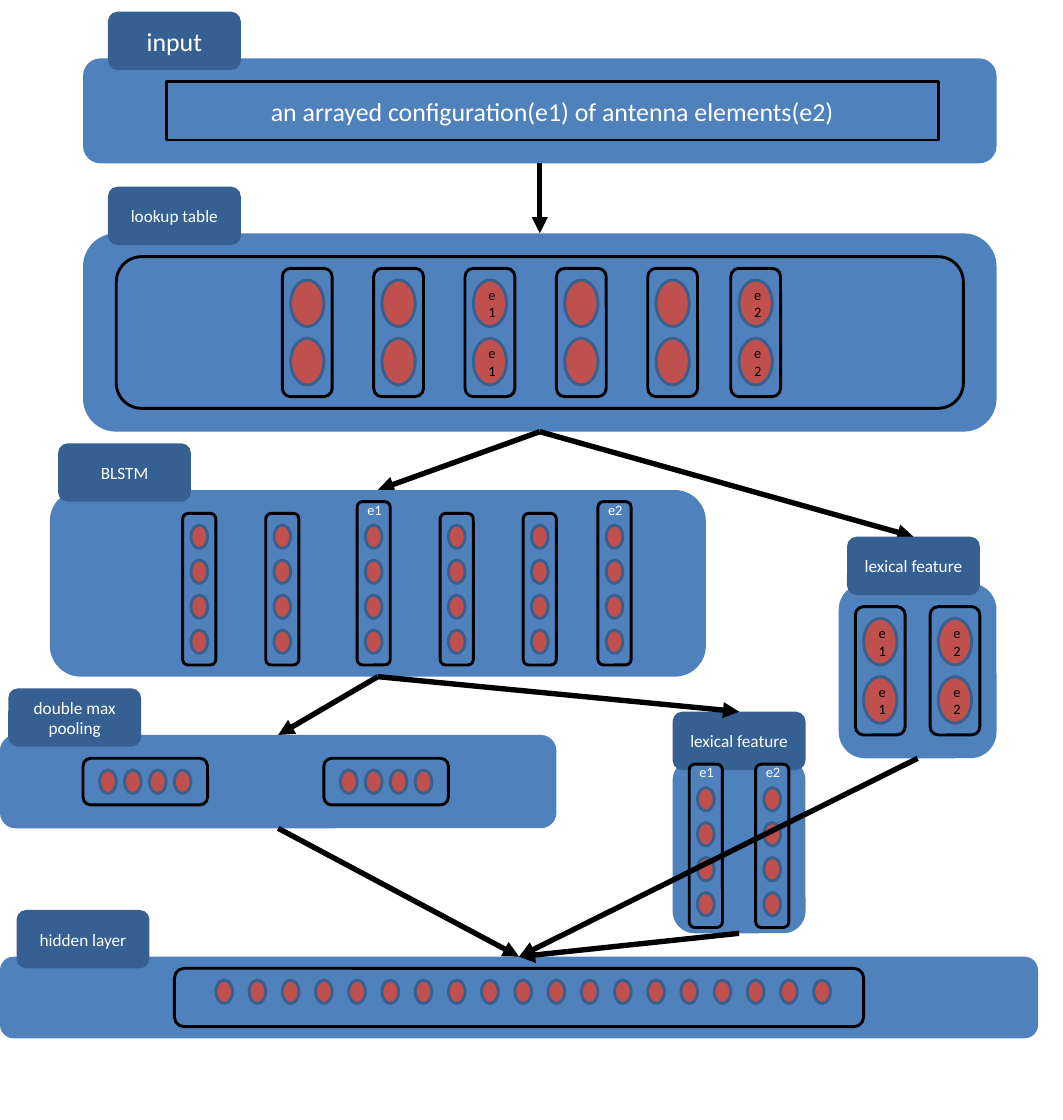
from pptx import Presentation
from pptx import util as u
from pptx.dml.color import RGBColor
from pptx.enum import shapes, text
from pptx.oxml.ns import qn
from lxml import etree

WIDE, HIGH = 10.28, 10.83
COLS, ROWS = 128, 96
BLUE, NAVY, RED, EDGE = "4F81BD", "376092", "C0504D", "3A5F8C"
BLACK, WHITE = "000000", "FFFFFF"
TAB = (16, 5)

# kind: frame size, first dot offset, dot size, dots across and down, dot step
KINDS = {
    "area": ((102, 13), (0, 0), (0, 0), (0, 0), (0, 0)),
    "pair": ((6, 11), (1, 1), (4, 4), (1, 2), (0, 5)),
    "quad": ((4, 13), (1, 1), (2, 2), (1, 4), (0, 3)),
    "tall": ((4, 14), (1, 2), (2, 2), (1, 4), (0, 3)),
    "pool": ((15, 4), (2, 1), (2, 2), (4, 1), (3, 0)),
    "row": ((83, 5), (5, 1), (2, 2), (19, 1), (4, 0)),
}

# title, size, tab place, panel, frames (kind, x, y, tag), arrows drawn next
STAGES = [
    ("input", 18, (13, 1), (10, 5, 110, 9), [], []),
    ("lookup table", 12, (13, 16), (10, 20, 110, 17),
     [("area", 14, 22, "")] + [("pair", x, 23, tag) for x, tag in (
         (34, ""), (45, ""), (56, "e1"), (67, ""), (78, ""), (88, "e2"))],
     [(65, 14, 65, 20), (65, 37, 45.5, 42), (65, 37, 110, 46)]),
    ("lexical feature", 12, (102, 46), (101, 50, 19, 15),
     [("pair", 103, 52, "e1"), ("pair", 112, 52, "e2")], []),
    ("BLSTM", 12, (7, 38), (6, 42, 79, 16),
     [("quad", x, 44, "") for x in (22, 32, 53, 63)]
     + [("tall", 43, 43, "e1"), ("tall", 72, 43, "e2")], []),
    ("lexical feature", 12, (81, 61), (81, 65, 16, 15),
     [("tall", 83, 65.5, "e1"), ("tall", 91, 65.5, "e2")],
     [(45.5, 58, 89, 61), (45.5, 58, 33.5, 63)]),
    ("double max pooling", 12, (1, 59), (0, 63, 67, 8),
     [("pool", 10, 65, ""), ("pool", 39, 65, "")], []),
    ("hidden layer", 12, (2, 78), (0, 82, 125, 7), [("row", 21, 83, "")],
     [(33.5, 71, 62.5, 82), (89, 80, 62.5, 82), (110.5, 65, 62.5, 82)]),
]
PHRASE = "an arrayed configuration(e1) of antenna elements(e2)"

deck = Presentation()
deck.slide_width, deck.slide_height = u.Inches(WIDE), u.Inches(HIGH)
page = deck.slides.add_slide(deck.slide_layouts[6]).shapes
ROUND = shapes.MSO_SHAPE.ROUNDED_RECTANGLE
RECT, OVAL = shapes.MSO_SHAPE.RECTANGLE, shapes.MSO_SHAPE.OVAL


def grid(x, y, w, h):
    """Turn grid columns and rows into slide lengths."""
    dx, dy = deck.slide_width / COLS, deck.slide_height / ROWS
    return [round(n) for n in (x * dx, y * dy, w * dx, h * dy)]


def tint(hue):
    """Make a colour from a hex string."""
    return RGBColor.from_string(hue)


def write(item, words, size, hue):
    """Put one formatted line of text in a shape."""
    item.text_frame.word_wrap = True
    line = item.text_frame.paragraphs[0]
    line.text = words
    line.font.size, line.font.name = u.Pt(size), "Calibri"
    line.font.color.rgb = tint(hue)
    return line


def block(form, box, fill, edge="", words="", size=12, hue=WHITE):
    """Draw a filled shape with optional outline and centred text."""
    item = page.add_shape(form, *grid(*box))
    item.shadow.inherit = False
    item.fill.solid()
    item.fill.fore_color.rgb = tint(fill)
    if edge:
        item.line.color.rgb = tint(edge)
        item.line.width = u.Pt(2)
    else:
        item.line.fill.background()
    if words:
        item.text_frame.vertical_anchor = text.MSO_ANCHOR.MIDDLE
        write(item, words, size, hue).alignment = text.PP_ALIGN.CENTER


def frame(kind, x, y, tag):
    """Draw an outlined frame, its grid of dots and its tag."""
    size, (left, top), dot, (across, down), (dx, dy) = KINDS[kind]
    block(ROUND, (x, y, *size), BLUE, BLACK)
    inner = tag if kind == "pair" else ""
    for i in range(across):
        for j in range(down):
            spot = (x + left + i * dx, y + top + j * dy)
            block(OVAL, (*spot, *dot), RED, EDGE, inner, 10, BLACK)
    if tag and not inner:
        note = page.add_textbox(*grid(x, y - 0.5, 8, 2.4))
        write(note, tag, 10, WHITE)
        note.text_frame.auto_size = text.MSO_AUTO_SIZE.SHAPE_TO_FIT_TEXT


def arrow(x, y, right, low):
    """Draw a thick arrow between two grid points."""
    link = page.add_connector(shapes.MSO_CONNECTOR.STRAIGHT, *grid(x, y, right, low))
    link.line.color.rgb = tint(BLACK)
    link.line.width = u.Pt(3.75)
    etree.SubElement(link.line._get_or_add_ln(), qn("a:tailEnd"), type="triangle")
    etree.SubElement(link._element.spPr, qn("a:effectLst"))


for title, size, tab, panel, frames, arrows in STAGES:
    block(ROUND, panel, BLUE)
    block(ROUND, (*tab, *TAB), NAVY, "", title, size)
    if title == "input":
        block(RECT, (20, 7, 93, 5), BLUE, BLACK, PHRASE, 18)
    for part in frames:
        frame(*part)
    for ends in arrows:
        arrow(*ends)

deck.save("out.pptx")
